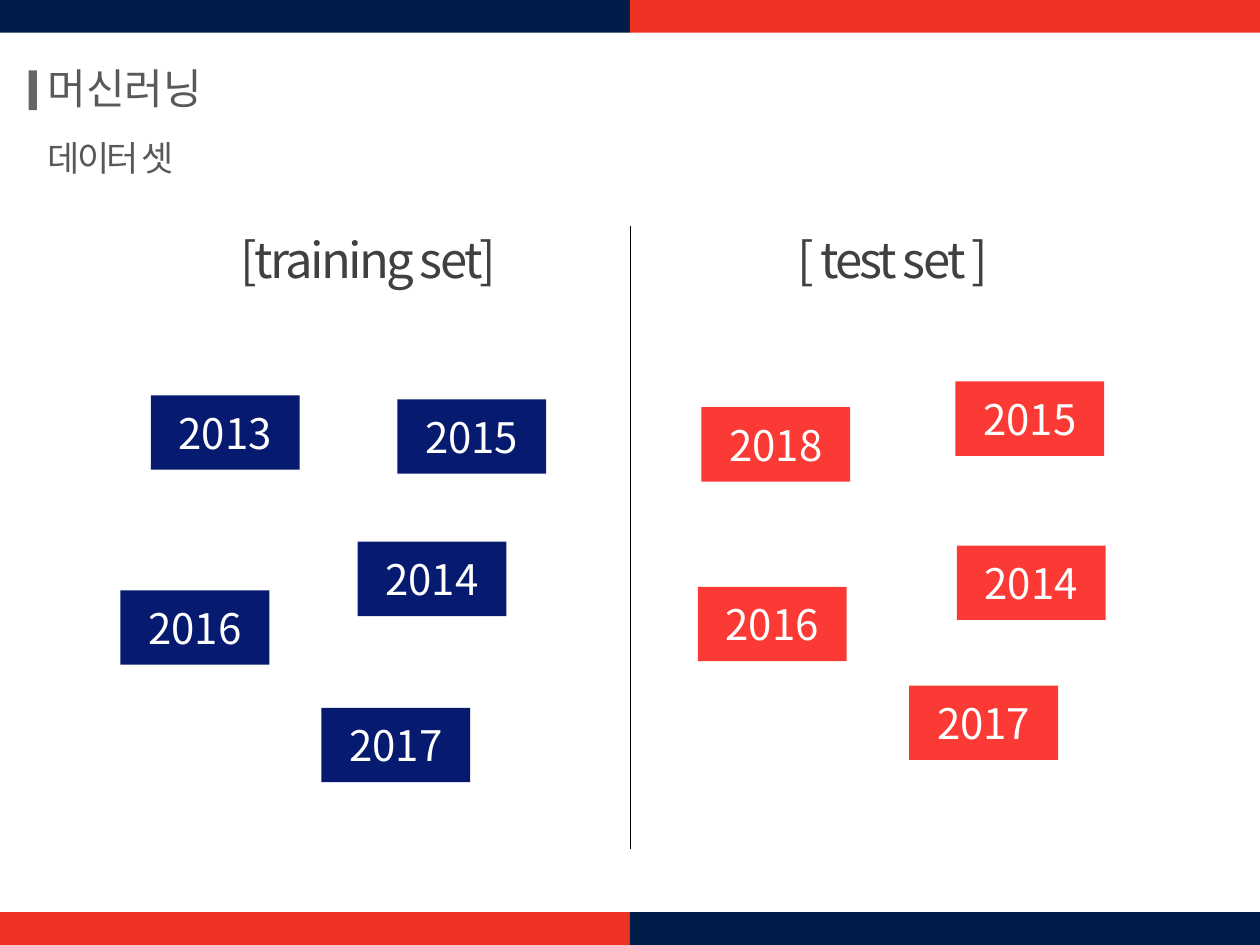
from dataclasses import dataclass

from lxml import etree
from pptx import Presentation
from pptx.dml.color import RGBColor
from pptx.enum.shapes import MSO_CONNECTOR, MSO_SHAPE
from pptx.enum.text import MSO_ANCHOR, MSO_AUTO_SIZE, PP_ALIGN
from pptx.oxml.ns import qn
from pptx.util import Cm, Pt

RECT = MSO_SHAPE.RECTANGLE
STRAIGHT = MSO_CONNECTOR.STRAIGHT
LEFT, CENTER = PP_ALIGN.LEFT, PP_ALIGN.CENTER
MIDDLE = MSO_ANCHOR.MIDDLE
GROW = MSO_AUTO_SIZE.SHAPE_TO_FIT_TEXT


@dataclass(frozen=True)
class Theme:
    font: str = "Noto Sans CJK KR"
    navy: str = "001C48"
    red: str = "EE3224"
    train: str = "061A70"
    test: str = "FB3A35"
    title: str = "595959"
    label: str = "404040"
    white: str = "FFFFFF"
    black: str = "000000"
    title_size: int = 24
    subtitle_size: int = 20
    label_size: int = 28
    year_size: int = 24


theme = Theme()


def write(sp, text, size, color, align, spacing=0):
    """Put one formatted line of text into a shape."""
    p = sp.text_frame.paragraphs[0]
    p.text = text
    p.alignment = align
    r = p.runs[0]
    r.font.size = Pt(size)
    r.font.name = theme.font
    r.font.color.rgb = RGBColor.from_string(color)
    rPr = r.font._element
    etree.SubElement(rPr, qn("a:ea")).set("typeface", theme.font)
    if spacing:
        rPr.set("spc", str(int(spacing * 100)))


def add_block(x, y, w, h, color):
    """Add a plain filled rectangle."""
    sp = s.shapes.add_shape(RECT, Cm(x), Cm(y), Cm(w), Cm(h))
    sp.shadow.inherit = False
    sp.fill.solid()
    sp.fill.fore_color.rgb = RGBColor.from_string(color)
    sp.line.fill.background()
    return sp


prs = Presentation()
prs.slide_width, prs.slide_height = Cm(25.4), Cm(19.05)
s = prs.slides.add_slide(prs.slide_layouts[6])

# Title, subtitle and the headings of the two halves
texts = [
    ("머신러닝", 0.71, 1.14, 6.45, 1.27, theme.title_size, theme.title, LEFT, 0),
    ("데이터 셋", 0.71, 2.62, 20.07, 1.12, theme.subtitle_size, theme.title, LEFT, -1.5),
    ("[training set]", 4.47, 4.5, 5.92, 1.45, theme.label_size, theme.label, CENTER, -1.5),
    ("[ test set ]", 14.05, 4.5, 7.9, 1.45, theme.label_size, theme.label, CENTER, -1.5),
]
for text, x, y, w, h, size, color, align, spacing in texts:
    sp = s.shapes.add_textbox(Cm(x), Cm(y), Cm(w), Cm(h))
    sp.text_frame.word_wrap = True
    sp.text_frame.auto_size = GROW
    write(sp, text, size, color, align, spacing)

# Two-colour bands at the top and bottom edges
BAND_W, BAND_H = 12.7, 0.66
for y, colors in ((0, (theme.navy, theme.red)), (19.05 - BAND_H, (theme.red, theme.navy))):
    for i, color in enumerate(colors):
        add_block(i * BAND_W, y, BAND_W, BAND_H, color)

# Year tiles
TILE_W, TILE_H = 3, 1.5
tiles = {
    theme.train: [("2013", 3.04, 7.97), ("2014", 7.21, 10.92), ("2015", 8.01, 8.05),
                  ("2016", 2.43, 11.9), ("2017", 6.48, 14.27)],
    theme.test: [("2018", 14.14, 8.21), ("2014", 19.29, 11), ("2015", 19.26, 7.69),
                 ("2016", 14.07, 11.83), ("2017", 18.33, 13.82)],
}
for color, years in tiles.items():
    for year, x, y in years:
        sp = add_block(x, y, TILE_W, TILE_H, color)
        sp.text_frame.vertical_anchor = MIDDLE
        write(sp, year, theme.year_size, theme.white, CENTER)

# Title marker and centre divider
lines = [
    (0.66, 1.42, 2.22, theme.label, 4.75, 80),
    (12.7, 4.55, 17.12, theme.black, 0.5, 100),
]
for x, top, bottom, color, width, opacity in lines:
    line = s.shapes.add_connector(STRAIGHT, Cm(x), Cm(top), Cm(x), Cm(bottom))
    line.line.color.rgb = RGBColor.from_string(color)
    line.line.width = Pt(width)
    spPr = line._element.spPr
    etree.SubElement(spPr, qn("a:effectLst"))
    if opacity < 100:
        clr = spPr.find(".//" + qn("a:srgbClr"))
        etree.SubElement(clr, qn("a:alpha")).set("val", str(opacity * 1000))

prs.save("out.pptx")
